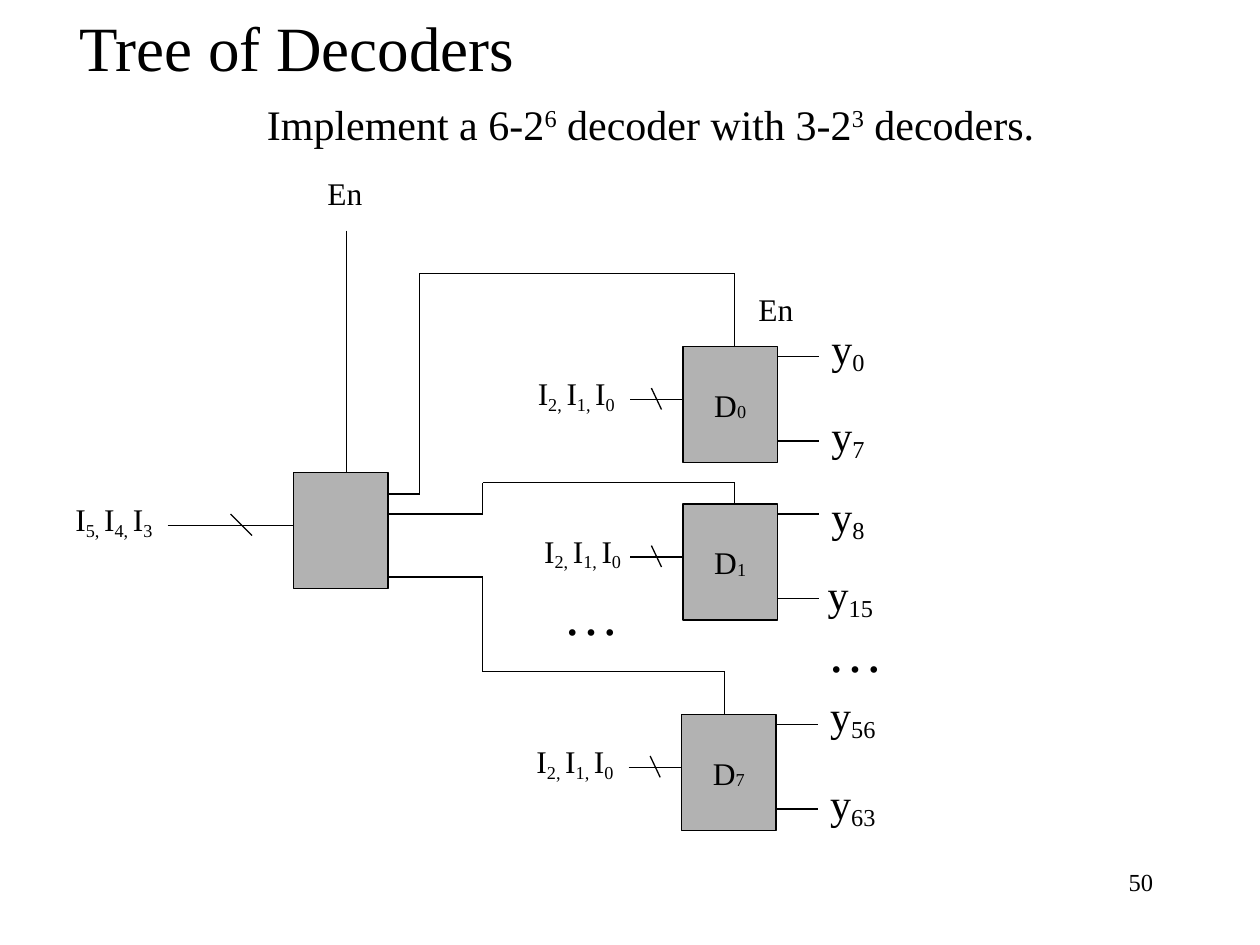
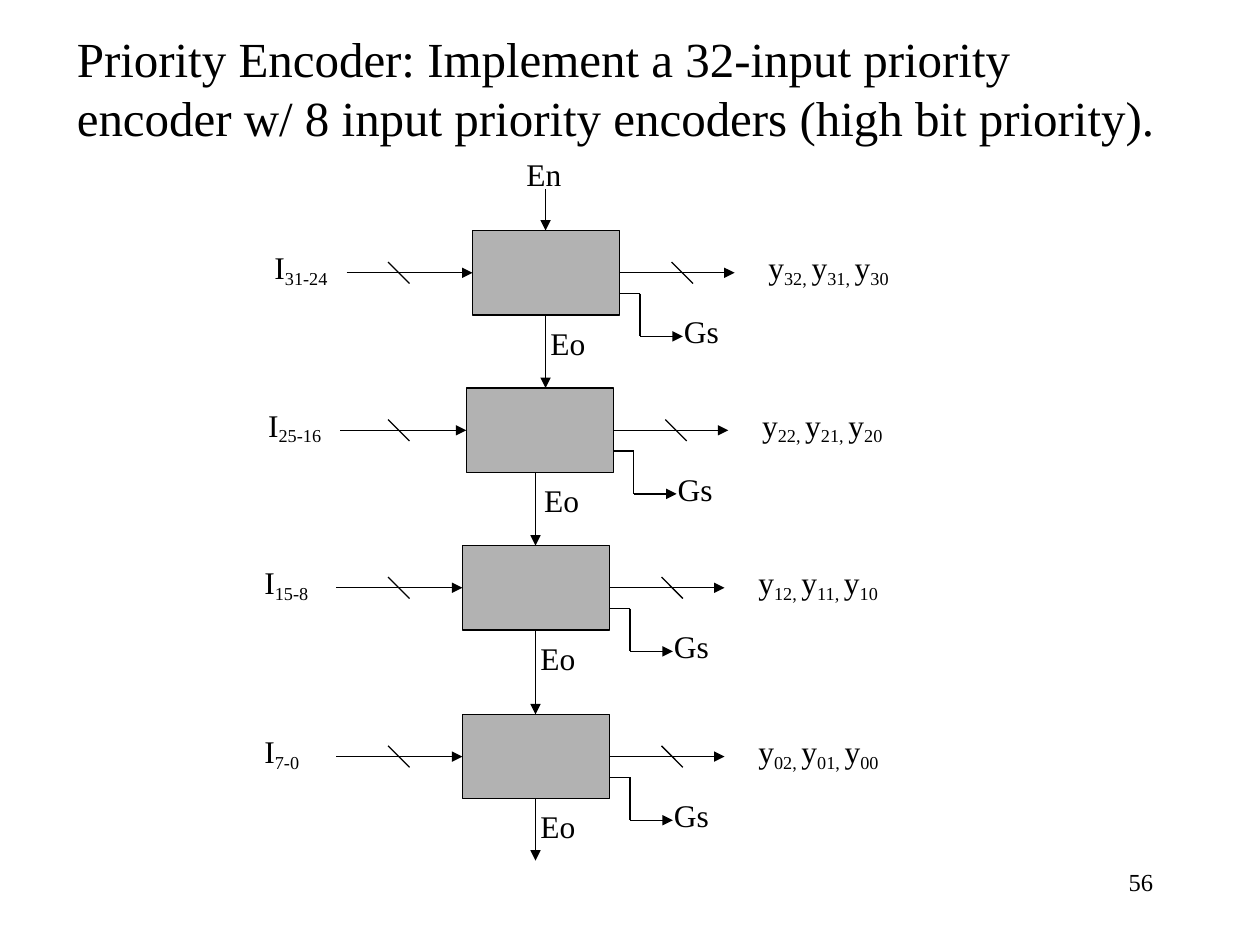
from dataclasses import dataclass
from itertools import pairwise

from lxml import etree
from pptx import Presentation
from pptx import util as u
from pptx.dml.color import RGBColor
from pptx.enum import shapes, text
from pptx.oxml.ns import qn


@dataclass(frozen=True)
class Theme:
    """Colours, type sizes and line weight shared by the slides."""
    font: str = "Times New Roman"
    ink: RGBColor = RGBColor(0, 0, 0)
    block: RGBColor = RGBColor(0xB2, 0xB2, 0xB2)
    line: float = 0.75
    number: int = 14
    label: int = 18
    large: int = 24
    dots: int = 32
    subscript: int = -18
    low: int = -6
    superscript: int = 30


@dataclass(frozen=True)
class Box:
    """A rectangle in inches."""
    left: float
    top: float
    width: float
    height: float

    def at(self, right, down):
        """Return the point at an offset from the top left corner."""
        return self.left + right, self.top + down

    def inches(self):
        """Return the rectangle as lengths."""
        return [u.Inches(value) for value in (self.left, self.top, self.width, self.height)]


THEME = Theme()
LINE_HEIGHTS = {THEME.label: 0.4, THEME.large: 0.5, THEME.dots: 0.63}
SHORT = 0.48
TRIPLE_INPUT = 0.87


def write(frame, content, size, shift=THEME.subscript, align=text.PP_ALIGN.LEFT):
    """Write text in which every second part between bars is raised or lowered."""
    paragraph = frame.paragraphs[0]
    paragraph.alignment = align
    for index, part in enumerate(content.split("|")):
        run = paragraph.add_run()
        run.text = part
        run.font.name = THEME.font
        run.font.size = u.Pt(size)
        run.font.color.rgb = THEME.ink
        if index % 2:
            run.font._element.set("baseline", str(shift * 1000))


def add_label(slide, content, point, width, size=THEME.label, shift=THEME.subscript):
    """Add a one-line label with its corner at a point."""
    frame = slide.shapes.add_textbox(*Box(*point, width, LINE_HEIGHTS[size]).inches()).text_frame
    frame.word_wrap = False
    frame.auto_size = text.MSO_AUTO_SIZE.SHAPE_TO_FIT_TEXT
    write(frame, content, size, shift)


def add_wire(slide, *points, arrow=False):
    """Join points with straight lines, with an optional arrowhead at the end."""
    for start, end in pairwise(points):
        connector = slide.shapes.add_connector(
            shapes.MSO_CONNECTOR.STRAIGHT, *map(u.Inches, (*start, *end)))
        connector.line.color.rgb = THEME.ink
        connector.line.width = u.Pt(THEME.line)
        properties = connector._element.spPr
        if arrow and end == points[-1]:
            etree.SubElement(properties.find(qn("a:ln")), qn("a:tailEnd"), type="triangle")
        etree.SubElement(properties, qn("a:effectLst"))


def add_block(slide, box, content=""):
    """Add a grey circuit block."""
    block = slide.shapes.add_shape(shapes.MSO_SHAPE.RECTANGLE, *box.inches())
    block.shadow.inherit = False
    block.fill.solid()
    block.fill.fore_color.rgb = THEME.block
    block.line.color.rgb = THEME.ink
    block.line.width = u.Pt(THEME.line)
    if content:
        frame = block.text_frame
        frame.word_wrap = False
        frame.vertical_anchor = text.MSO_ANCHOR.MIDDLE
        write(frame, content, THEME.label, THEME.low, text.PP_ALIGN.CENTER)


def add_titled_slide(presentation, title, box, size, number):
    """Add a slide with its title and page number."""
    slide = presentation.slides.add_slide(presentation.slide_layouts[5])
    heading = slide.shapes.title
    heading.left, heading.top, heading.width, heading.height = box.inches()
    heading.text_frame.word_wrap = True
    heading.text_frame.auto_size = text.MSO_AUTO_SIZE.NONE
    heading.text_frame.vertical_anchor = text.MSO_ANCHOR.TOP
    write(heading.text_frame, title, size)
    footer = slide.shapes.add_textbox(*Box(7.17, 6.83, 2.08, 0.5).inches())
    footer.text_frame.word_wrap = True
    write(footer.text_frame, number, THEME.number, align=text.PP_ALIGN.RIGHT)
    return slide


def add_root_decoder(slide, box):
    """Draw the decoder that enables the others."""
    add_block(slide, box)
    add_wire(slide, box.at(-1, 0.42), box.at(0, 0.42))
    add_wire(slide, box.at(-0.5, 0.33), box.at(-0.33, 0.5))
    add_label(slide, "I|5, |I|4, |I|3", box.at(-1.83, 0.17), TRIPLE_INPUT)
    add_wire(slide, box.at(0.42, -1.92), box.at(0.42, 0))
    add_label(slide, "En", box.at(0.17, -2.42), SHORT)
    routes = [(0.17, 1, -1.58, 3.5, -1), (0.33, 1.5, 0.08, 3.5, 0.25),
              (0.83, 1.5, 1.58, 3.42, 1.92)]
    for start, bend, level, target, end in routes:
        add_wire(slide, box.at(box.width, start), box.at(bend, start), box.at(bend, level),
                 box.at(target, level), box.at(target, end))


def add_leaf_decoder(slide, box, name, input_offset, outputs):
    """Draw a decoder with its inputs and its first and last outputs."""
    add_block(slide, box, name)
    add_wire(slide, box.at(-0.42, 0.42), box.at(0, 0.42))
    add_wire(slide, box.at(-0.25, 0.33), box.at(-0.17, 0.5))
    add_label(slide, "I|2, |I|1, |I|0", box.at(input_offset, 0.17), TRIPLE_INPUT)
    for level, (content, right, down, width) in zip((0.08, 0.75), outputs):
        add_wire(slide, box.at(box.width, level), box.at(box.width + 0.33, level))
        add_label(slide, content, box.at(right, down), width, THEME.large)


def build_decoder_tree(presentation):
    """Build the slide with the tree of decoders."""
    slide = add_titled_slide(presentation, "Tree of Decoders", Box(0.53, 0.02, 6, 0.7), 36, "50")
    add_label(slide, "Implement a 6-2|6| decoder with 3-2|3| decoders.", (2.02, 0.73), 6.31,
              THEME.large, THEME.superscript)
    add_root_decoder(slide, Box(2.33, 3.75, 0.75, 0.92))
    leaves = [
        (5.42, 2.75, "D|0", -1.25, [("y|0", 1.08, -0.24, 0.48), ("y|7", 1.08, 0.45, 0.48)]),
        (5.42, 4, "D|1", -1.2, [("y|8", 1.08, -0.16, 0.48), ("y|15", 1.05, 0.46, 0.59)]),
        (5.41, 5.67, "D|7", -1.25, [("y|56", 1.08, -0.25, 0.59), ("y|63", 1.08, 0.45, 0.59)]),
    ]
    for left, top, *details in leaves:
        add_leaf_decoder(slide, Box(left, top, 0.75, 0.92), *details)
    add_label(slide, "En", (5.92, 2.25), SHORT)
    for point in ((6.47, 4.84), (4.37, 4.55)):
        add_label(slide, "…", point, 0.65, THEME.dots)


def add_encoder_stage(slide, box, inputs, input_width, outputs, slash, chain, chain_end):
    """Draw one encoder with its inputs, outputs and link to the next stage."""
    add_block(slide, box)
    middle = box.height / 2
    add_wire(slide, box.at(-1, middle), box.at(0, middle), arrow=True)
    add_wire(slide, box.at(box.width, middle), box.at(2.08, middle), arrow=True)
    for offset in (slash, 1.58):
        add_wire(slide, box.at(offset, 0.25), box.at(offset + 0.17, 0.42))
    add_label(slide, inputs, box.at(-1.67, 0.09), input_width)
    add_label(slide, outputs, box.at(2.25, 0.09), 1.24)
    add_wire(slide, box.at(box.width, 0.5), box.at(1.33, 0.5), box.at(1.33, 0.84),
             box.at(1.67, 0.84), arrow=True)
    add_label(slide, "Gs", box.at(1.58, 0.6), SHORT)
    add_wire(slide, box.at(chain, box.height), box.at(chain, chain_end), arrow=True)
    add_label(slide, "Eo", box.at(0.52, 0.69), SHORT)


def build_priority_encoder(presentation):
    """Build the slide with the chain of priority encoders."""
    title = ("Priority Encoder: Implement a 32-input priority encoder "
             "w/ 8 input priority encoders (high bit priority).")
    slide = add_titled_slide(presentation, title, Box(0.51, 0.18, 8.91, 1.03), 28, "56")
    stages = [
        (3.75, 1.83, "I|31-24", 0.67, "y|32, |y|31, |y|30", -0.67, 0.58, 1.25),
        (3.7, 3.08, "I|25-16", 0.67, "y|22, |y|21, |y|20", -0.62, 0.55, 1.25),
        (3.67, 4.33, "I|15-8", 0.59, "y|12, |y|11, |y|10", -0.59, 0.58, 1.34),
        (3.67, 5.67, "I|7-0", 0.51, "y|02, |y|01, |y|00", -0.59, 0.58, 1.16),
    ]
    for left, top, *details in stages:
        add_encoder_stage(slide, Box(left, top, 1.17, 0.67), *details)
    add_wire(slide, (4.33, 1.5), (4.33, 1.83), arrow=True)
    add_label(slide, "En", (4.08, 1.18), SHORT)


def main():
    """Build and save the presentation."""
    presentation = Presentation()
    presentation.slide_width = u.Inches(10)
    presentation.slide_height = u.Inches(7.5)
    build_decoder_tree(presentation)
    build_priority_encoder(presentation)
    presentation.save("out.pptx")


if __name__ == "__main__":
    main()
